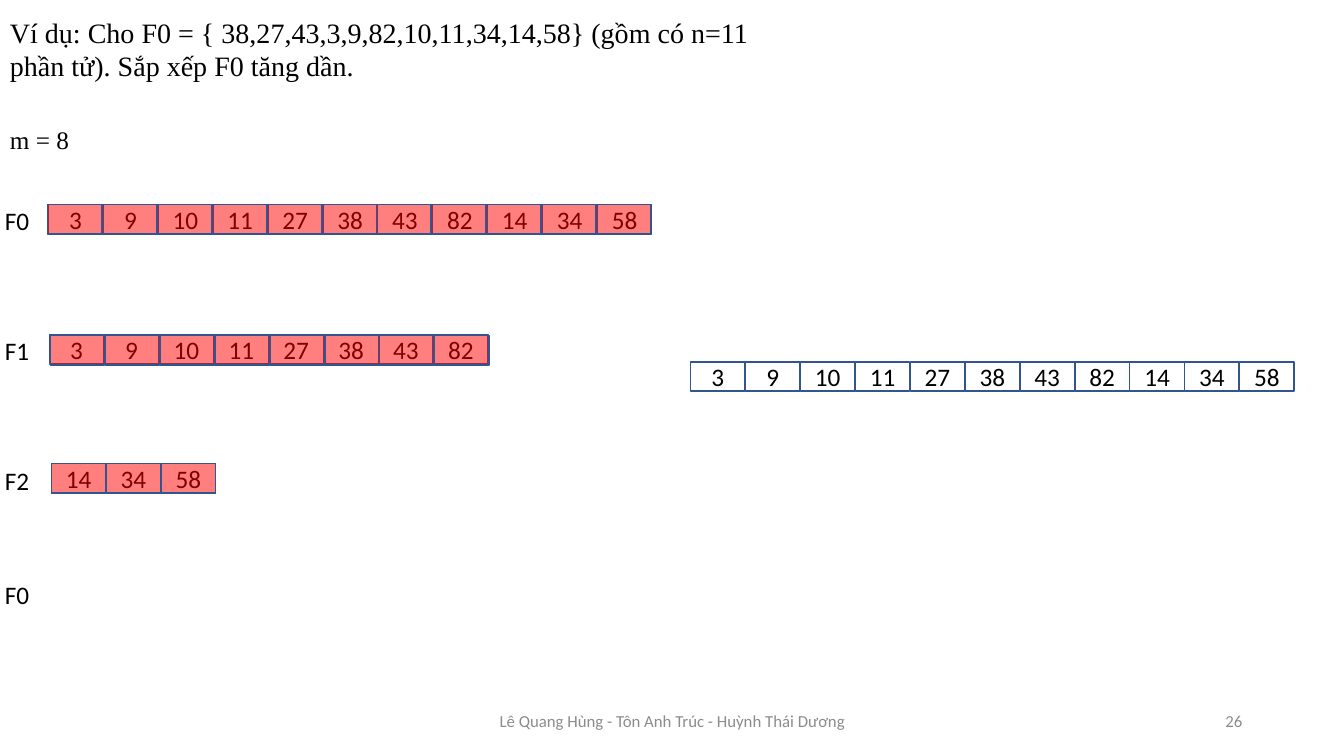
"""Build the merge-sort example slide with its number arrays."""
from lxml.etree import SubElement
from pptx import Presentation
from pptx.dml.color import RGBColor
from pptx.enum.shapes import MSO_SHAPE
from pptx.enum.text import MSO_ANCHOR, PP_ALIGN
from pptx.oxml.ns import qn
from pptx.util import Inches, Pt

BLACK = RGBColor(0x00, 0x00, 0x00)
WHITE = RGBColor(0xFF, 0xFF, 0xFF)
GRAY = RGBColor(0x8C, 0x8C, 0x8C)
BLUE = RGBColor(0x32, 0x54, 0x91)
RED = RGBColor(0xFF, 0x00, 0x00)
CELL_W, CELL_H, PITCH = 0.54, 0.29, 0.5445


def write(sp, text, align, anchor, **font):
    tf = sp.text_frame
    tf.word_wrap = True
    tf.vertical_anchor = anchor
    p = tf.paragraphs[0]
    p.alignment = align
    r = p.add_run()
    r.text = text
    r.font.color.rgb = font.pop("color", BLACK)
    for name, value in font.items():
        setattr(r.font, name, value)


def add_cell(left, top, color):
    sp = s.shapes.add_shape(MSO_SHAPE.RECTANGLE, Inches(left), Inches(top),
                            Inches(CELL_W), Inches(CELL_H))
    sp.shadow.inherit = False
    sp.fill.solid()
    sp.fill.fore_color.rgb = color
    sp.line.color.rgb = BLUE
    sp.line.width = Pt(1)
    return sp


prs = Presentation()
prs.slide_width, prs.slide_height = Inches(13.33), Inches(7.5)
s = prs.slides.add_slide(prs.slide_layouts[6])

body = {"size": Pt(18), "name": "Calibri"}
serif = {"size": Pt(18), "name": "Times New Roman"}
footer = {"size": Pt(12), "name": "Calibri", "color": GRAY}
left, center, right = PP_ALIGN.LEFT, PP_ALIGN.CENTER, PP_ALIGN.RIGHT
top, middle = MSO_ANCHOR.TOP, MSO_ANCHOR.MIDDLE
problem = ("Ví dụ: Cho F0 = { 38,27,43,3,9,82,10,11,34,14,58} "
           "(gồm có n=11 phần tử). Sắp xếp F0 tăng dần.")

texts = [
    (problem, (0, 0.1, 7.55, 0.77), left, top, {**serif, "size": Pt(20)}),
    ("m = 8", (0, 1.18, 0.82, 0.4), left, top, serif),
    ("F0", (-0.05, 1.99, 0.7, 0.4), left, top, body),
    ("F1", (-0.05, 3.28, 0.7, 0.4), left, top, body),
    ("F2", (-0.05, 4.57, 0.7, 0.4), left, top, body),
    ("F0", (-0.05, 5.7, 0.7, 0.4), left, top, body),
    ("Lê Quang Hùng - Tôn Anh Trúc - Huỳnh Thái Dương",
     (4.42, 6.95, 4.5, 0.4), center, middle, footer),
    ("26", (9.42, 6.95, 3, 0.4), right, middle, footer),
]
for text, box, align, anchor, font in texts:
    tb = s.shapes.add_textbox(*[Inches(v) for v in box])
    write(tb, text, align, anchor, **font)

first_run = [3, 9, 10, 11, 27, 38, 43, 82]
second_run = [14, 34, 58]
arrays = [
    (first_run + second_run, 0.48, 2.03, (0.47, 2.03)),
    (first_run, 0.49, 3.32, (0.5, 3.33)),
    (second_run, 0.51, 4.6, (0.51, 4.6)),
    (first_run + second_run, 6.85, 3.59, None),
]
for values, x, y, overlay in arrays:
    for i, value in enumerate(values):
        cell = add_cell(x + i * PITCH, y, WHITE)
        write(cell, str(value), center, middle, **body)
    if overlay:
        for i in range(len(values)):
            mark = add_cell(overlay[0] + i * PITCH, overlay[1], RED)
            color = mark.fill._xPr.find(qn("a:solidFill"))[0]
            SubElement(color, qn("a:alpha"), val="50000")

prs.save("out.pptx")
